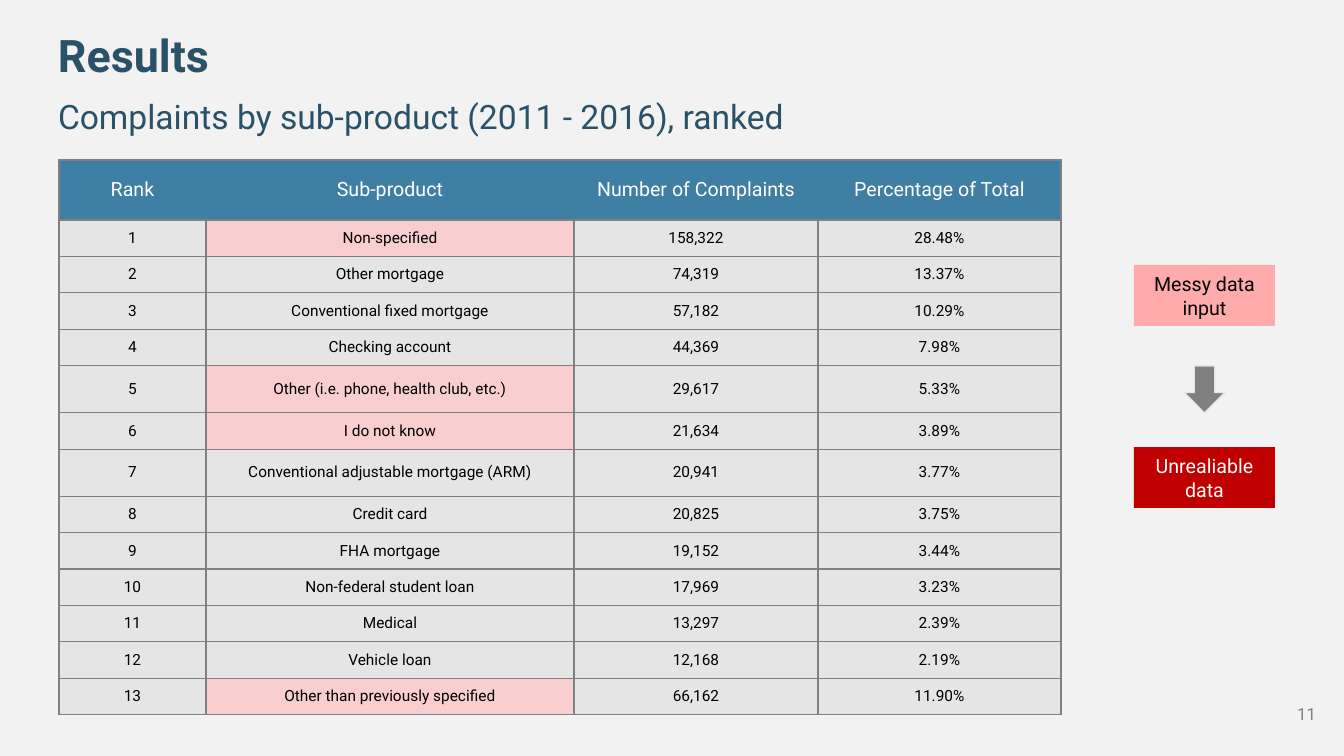
from lxml import etree
from pptx import Presentation
from pptx import util as u
from pptx.dml.color import RGBColor
from pptx.enum import shapes, text
from pptx.oxml import parse_xml
from pptx.oxml.ns import nsdecls, qn

PX = 914400 / 100.8
C = {
    "bg": "F2F2F2", "title": "295269", "header": "3F7FA3", "row": "D9D9D9",
    "messy": "FFABAB", "bad": "C00000", "grey": "808080", "edge": "E7E6E6",
    "white": "FFFFFF", "black": "000000",
}
HEADER = ("Rank", "Sub-product", "Number of Complaints", "Percentage of Total")
COMPLAINTS = [
    ("Non-specified", "158,322", "28.48%"),
    ("Other mortgage", "74,319", "13.37%"),
    ("Conventional fixed mortgage", "57,182", "10.29%"),
    ("Checking account", "44,369", "7.98%"),
    ("Other (i.e. phone, health club, etc.)", "29,617", "5.33%"),
    ("I do not know", "21,634", "3.89%"),
    ("Conventional adjustable mortgage (ARM)", "20,941", "3.77%"),
    ("Credit card", "20,825", "3.75%"),
    ("FHA mortgage", "19,152", "3.44%"),
    ("Non-federal student loan", "17,969", "3.23%"),
    ("Medical", "13,297", "2.39%"),
    ("Vehicle loan", "12,168", "2.19%"),
    ("Other than previously specified", "66,162", "11.90%"),
]
MESSY_RANKS = {1, 5, 6, 13}
TALL_RANKS = {5, 7}
COLUMNS = (147, 368, 244, 243)
HEADER_H, TALL_H = 60, 47
CENTER = text.PP_ALIGN.CENTER
MIDDLE = text.MSO_ANCHOR.MIDDLE


def px(n):
    """Turn px into EMU."""
    return u.Emu(round(n * PX))


def rgb(name):
    """Look up a palette colour."""
    return RGBColor.from_string(C[name])


def write(tf, lines, size, color, align=None, bold=False):
    """Fill a text frame with formatted paragraphs."""
    for i, line in enumerate(lines):
        p = tf.paragraphs[0] if i == 0 else tf.add_paragraph()
        p.alignment = align
        r = p.add_run()
        r.text = line
        r.font.color.rgb = rgb(color)
        fmt = {"name": "Roboto", "size": u.Pt(size), "bold": bold}
        for key, value in fmt.items():
            setattr(r.font, key, value)


def set_frame(tf, anchor, mx, my):
    """Set wrapping, anchor and margins of a text frame."""
    fmt = {"word_wrap": True, "vertical_anchor": anchor,
           "margin_left": px(mx), "margin_right": px(mx),
           "margin_top": px(my), "margin_bottom": px(my)}
    for key, value in fmt.items():
        setattr(tf, key, value)


def add_label(s, box, line, size, color, anchor, margin, align=None, bold=False):
    """Place a one-line text box."""
    tf = s.shapes.add_textbox(*map(px, box)).text_frame
    set_frame(tf, anchor, margin, margin)
    write(tf, [line], size, color, align, bold)


def style_cell(cell, fill, alpha, sides):
    """Fill a cell and draw the named sides of its border."""
    cell.fill.solid()
    cell.fill.fore_color.rgb = rgb(fill)
    tc_pr = cell._tc.get_or_add_tcPr()
    if alpha < 100:
        color = tc_pr.find(".//" + qn("a:srgbClr"))
        etree.SubElement(color, qn("a:alpha"), val=str(alpha * 1000))
    for i, side in enumerate("LRTB"):
        paint = (f'<a:solidFill><a:srgbClr val="{C["grey"]}"/></a:solidFill>'
                 if side in sides else "<a:noFill/>")
        tc_pr.insert(i, parse_xml(
            f'<a:ln{side} {nsdecls("a")} w="12700">{paint}</a:ln{side}>'))


def add_complaints(s, box):
    """Place the ranked complaints table."""
    rows = [HEADER] + [(str(i), *row) for i, row in enumerate(COMPLAINTS, 1)]
    table = s.shapes.add_table(len(rows), len(HEADER), *map(px, box)).table
    table.first_row = table.horz_banding = False
    for col, width in zip(table.columns, COLUMNS):
        col.width = px(width)
    short = ((box[3] - HEADER_H - TALL_H * len(TALL_RANKS))
             / (len(COMPLAINTS) - len(TALL_RANKS)))
    for rank, row in enumerate(rows):
        height = TALL_H if rank in TALL_RANKS else short
        table.rows[rank].height = px(height if rank else HEADER_H)
        for j, value in enumerate(row):
            cell = table.cell(rank, j)
            mx, my = (7, 7) if not rank and j > 1 else (2, 2)
            fmt = {"margin_left": px(mx), "margin_right": px(mx),
                   "margin_top": px(my), "margin_bottom": px(my),
                   "vertical_anchor": MIDDLE}
            if rank and j == 3:
                fmt.update(margin_left=px(1), margin_top=px(7),
                           margin_right=px(1), margin_bottom=px(7))
            for key, setting in fmt.items():
                setattr(cell, key, setting)
            if rank:
                write(cell.text_frame, [value], 11, "black", CENTER)
                messy = j == 1 and rank in MESSY_RANKS
                style_cell(cell, "messy" if messy else "row", 50, "LRTB")
            else:
                write(cell.text_frame, [value], 14, "white", CENTER)
                ends = {0: "L", len(HEADER) - 1: "R"}
                style_cell(cell, "header", 100, "TB" + ends.get(j, ""))


def add_shape(group, kind, box, fill, line=None):
    """Place a flat filled shape in a group."""
    sp = group.shapes.add_shape(kind, *map(px, box))
    sp.shadow.inherit = False
    sp.fill.solid()
    sp.fill.fore_color.rgb = rgb(fill)
    if line:
        sp.line.color.rgb = rgb(line)
        sp.line.width = u.Pt(1)
    else:
        sp.line.fill.background()
    return sp


def add_data_flow(s, box):
    """Place the note boxes with an arrow between them."""
    x, y, w, h = box
    note_h, arrow_w, arrow_h = 61, 41, 47
    group = s.shapes.add_group_shape()
    notes = ((y, "messy", "black", ["Messy data input"]),
             (y + h - note_h, "bad", "white", ["Unrealiable", "data"]))
    for top, fill, color, lines in notes:
        sp = add_shape(group, shapes.MSO_SHAPE.RECTANGLE, (x, top, w, note_h), fill)
        set_frame(sp.text_frame, text.MSO_ANCHOR.TOP, 13, 7)
        write(sp.text_frame, lines, 14, color, CENTER)
    arrow = (x + (w - arrow_w) / 2, y + 101, arrow_w, arrow_h)
    add_shape(group, shapes.MSO_SHAPE.DOWN_ARROW, arrow, "grey", "edge")


def main():
    """Build the results slide."""
    prs = Presentation()
    prs.slide_width, prs.slide_height = px(1344), px(756)
    s = prs.slides.add_slide(prs.slide_layouts[6])
    s.background.fill.solid()
    s.background.fill.fore_color.rgb = rgb("bg")
    bottom = text.MSO_ANCHOR.BOTTOM
    add_label(s, (45, 3, 1252, 92), "Results", 32, "title", bottom, 13, bold=True)
    add_label(s, (45, 57, 1002, 92), "Complaints by sub-product (2011 - 2016), ranked",
              24, "title", bottom, 13)
    add_complaints(s, (59, 160, sum(COLUMNS), 555))
    add_data_flow(s, (1134, 265, 141, 243))
    add_label(s, (1245, 685, 81, 57), "11", 12, "grey", MIDDLE, 10,
              text.PP_ALIGN.RIGHT)
    prs.save("out.pptx")


if __name__ == "__main__":
    main()
